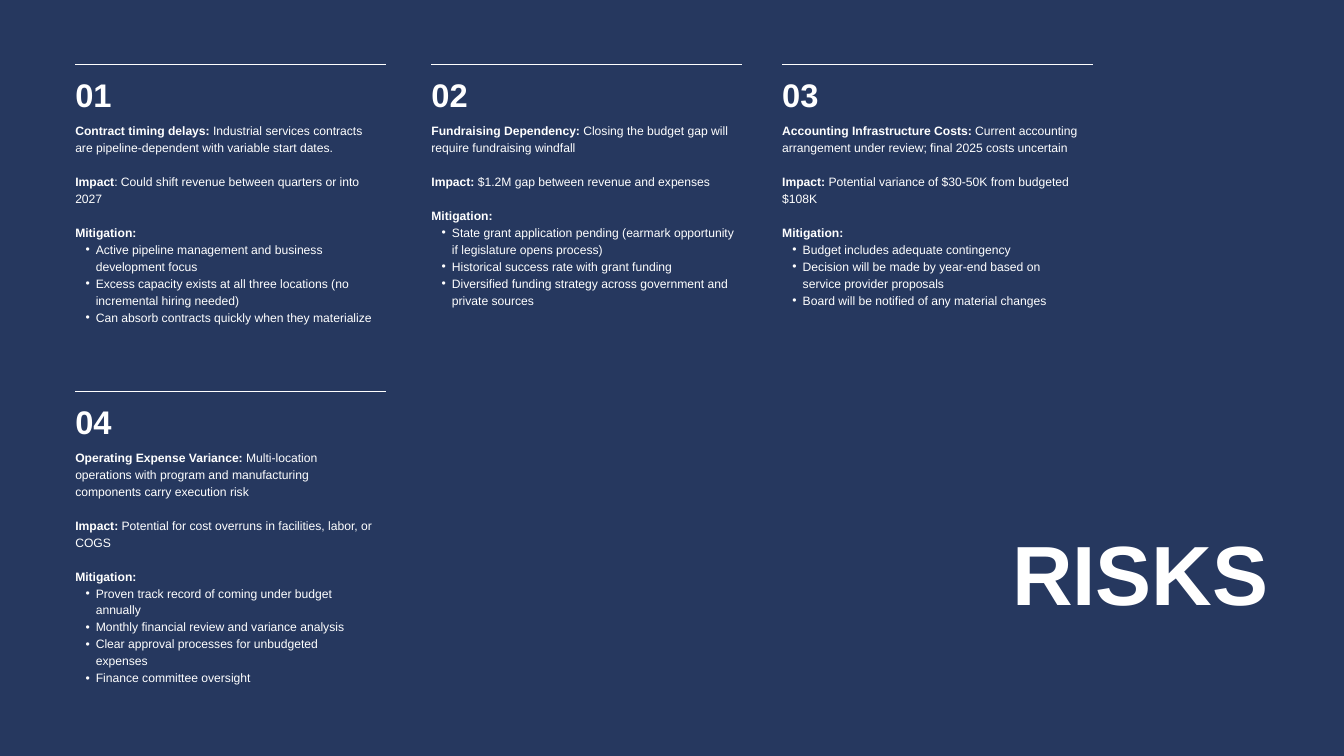
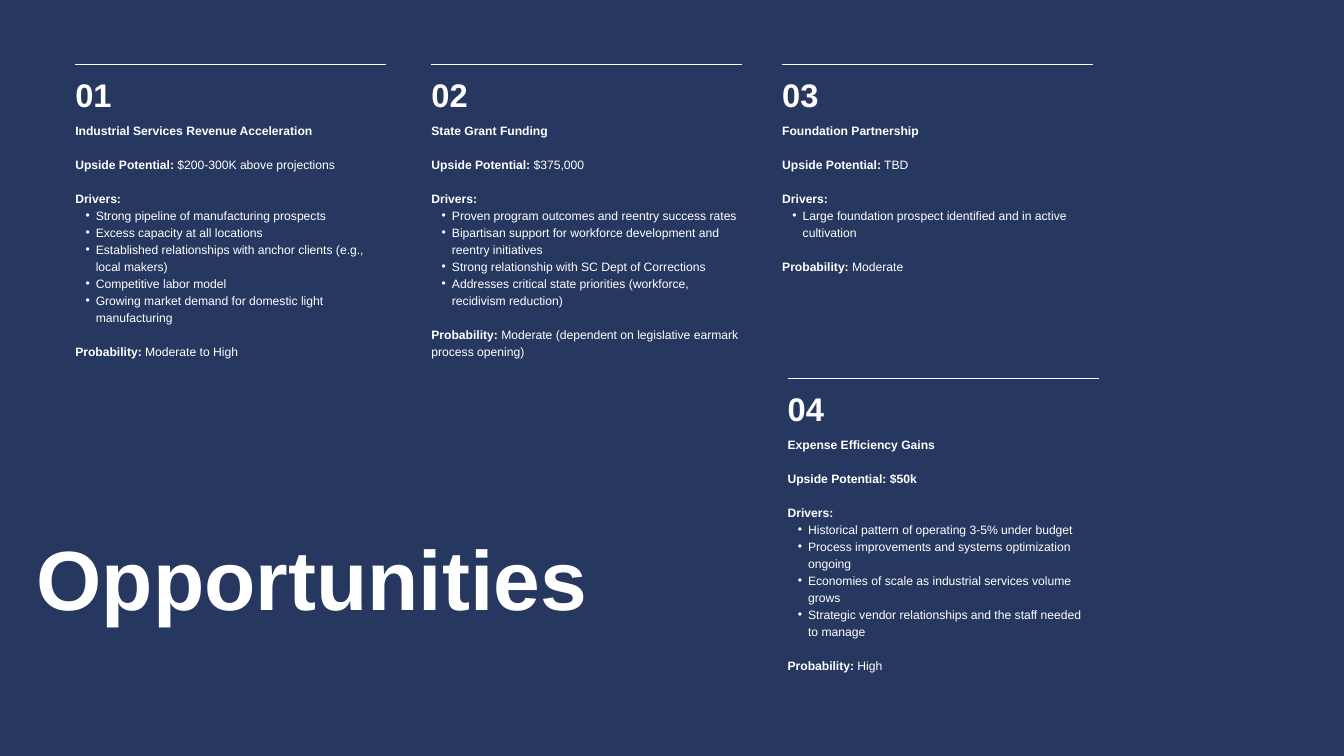
from dataclasses import dataclass

from lxml.etree import SubElement
from pptx import Presentation
from pptx.dml.color import RGBColor
from pptx.enum.shapes import MSO_CONNECTOR
from pptx.enum.text import MSO_AUTO_SIZE, PP_ALIGN
from pptx.oxml.ns import qn
from pptx.util import Pt

NAVY = RGBColor(0x26, 0x38, 0x5F)
WHITE = RGBColor(0xFF, 0xFF, 0xFF)
FONT = "Arial"

COLUMNS = (80.64, 462.24, 838.08)
TOP = 69.12
RULE_WIDTH = 333.2
TEXT_WIDTH = 318.24
NUMBER_OFFSET, NUMBER_HEIGHT = 8, 44
BODY_OFFSET = 60.5
BODY_LEADING = 18.2
TITLE_WIDTH, TITLE_HEIGHT = 818.64, 108.72


@dataclass
class Card:
    left: float
    top: float
    height: float
    entries: list
    body_width: float = TEXT_WIDTH


RISKS = [
    Card(COLUMNS[0], TOP, 260.64, [
        ("Contract timing delays:", " Industrial services contracts are pipeline-dependent with variable start dates."),
        ("Impact", ": Could shift revenue between quarters or into 2027"),
        ("Mitigation:", ""),
        "Active pipeline management and business development focus",
        "Excess capacity exists at all three locations (no incremental hiring needed)",
        "Can absorb contracts quickly when they materialize",
    ]),
    Card(COLUMNS[1], TOP, 275.76, [
        ("Fundraising Dependency:", " Closing the budget gap will require fundraising windfall"),
        ("Impact:", " $1.2M gap between revenue and expenses"),
        ("Mitigation:", ""),
        "State grant application pending (earmark opportunity if legislature opens process)",
        "Historical success rate with grant funding",
        "Diversified funding strategy across government and private sources",
    ], RULE_WIDTH),
    Card(COLUMNS[2], TOP, 216, [
        ("Accounting Infrastructure Costs:", " Current accounting arrangement under review; final 2025 costs uncertain"),
        ("Impact:", " Potential variance of $30-50K from budgeted $108K"),
        ("Mitigation:", ""),
        "Budget includes adequate contingency",
        "Decision will be made by year-end based on service provider proposals",
        "Board will be notified of any material changes",
    ]),
    Card(COLUMNS[0], 419.04, 270, [
        ("Operating Expense Variance:", " Multi-location operations with program and manufacturing components carry execution risk"),
        ("Impact:", " Potential for cost overruns in facilities, labor, or COGS"),
        ("Mitigation:", ""),
        "Proven track record of coming under budget annually",
        "Monthly financial review and variance analysis",
        "Clear approval processes for unbudgeted expenses",
        "Finance committee oversight",
    ]),
]

OPPORTUNITIES = [
    Card(COLUMNS[0], TOP, 296.64, [
        ("Industrial Services Revenue Acceleration", ""),
        ("Upside Potential:", " $200-300K above projections"),
        ("Drivers:", ""),
        "Strong pipeline of manufacturing prospects",
        "Excess capacity at all locations",
        "Established relationships with anchor clients (e.g., local makers)",
        "Competitive labor model",
        "Growing market demand for domestic light manufacturing",
        ("Probability:", " Moderate to High"),
    ]),
    Card(COLUMNS[1], TOP, 310.32, [
        ("State Grant Funding", ""),
        ("Upside Potential:", " $375,000"),
        ("Drivers:", ""),
        "Proven program outcomes and reentry success rates",
        "Bipartisan support for workforce development and reentry initiatives",
        "Strong relationship with SC Dept of Corrections",
        "Addresses critical state priorities (workforce, recidivism reduction)",
        ("Probability:", " Moderate (dependent on legislative earmark process opening)"),
    ], RULE_WIDTH),
    Card(COLUMNS[2], TOP, 180, [
        ("Foundation Partnership", ""),
        ("Upside Potential:", " TBD"),
        ("Drivers:", ""),
        "Large foundation prospect identified and in active cultivation",
        ("Probability:", " Moderate"),
    ]),
    Card(843.84, 405.36, 252, [
        ("Expense Efficiency Gains", ""),
        ("Upside Potential: $50k", ""),
        ("Drivers:", ""),
        "Historical pattern of operating 3-5% under budget",
        "Process improvements and systems optimization ongoing",
        "Economies of scale as industrial services volume grows",
        "Strategic vendor relationships and the staff needed to manage",
        ("Probability:", " High"),
    ]),
]


def add_text_frame(shapes, left, top, width, height):
    tf = shapes.add_textbox(Pt(left), Pt(top), Pt(width), Pt(height)).text_frame
    tf.margin_left = tf.margin_top = tf.margin_right = tf.margin_bottom = 0
    tf.word_wrap = True
    tf.auto_size = MSO_AUTO_SIZE.SHAPE_TO_FIT_TEXT
    return tf


def add_run(p, text, size, bold):
    r = p.add_run()
    r.text = text
    r.font.name = FONT
    r.font.size = Pt(size)
    r.font.bold = bold
    r.font.color.rgb = WHITE


def add_line(shapes, text, box, size, leading, align=PP_ALIGN.LEFT):
    p = add_text_frame(shapes, *box).paragraphs[0]
    p.alignment = align
    p.line_spacing = Pt(leading)
    add_run(p, text, size, True)


def add_rule(shapes, left, top, width):
    rule = shapes.add_connector(MSO_CONNECTOR.STRAIGHT, Pt(left), Pt(top), Pt(left + width), Pt(top))
    rule.line.color.rgb = WHITE
    rule.line.width = Pt(1)
    SubElement(rule._element.spPr, qn("a:effectLst"))


def make_bullet(p):
    p.level = 1
    pPr = p._p.get_or_add_pPr()
    pPr.set("marL", str(Pt(22)))
    pPr.set("indent", str(-Pt(11)))
    SubElement(pPr, qn("a:buFont"), typeface=FONT)
    SubElement(pPr, qn("a:buChar"), char="•")


def add_body(shapes, card):
    tf = add_text_frame(shapes, card.left, card.top + BODY_OFFSET, card.body_width, card.height)
    for i, entry in enumerate(card.entries):
        p = tf.add_paragraph() if i else tf.paragraphs[0]
        p.line_spacing = Pt(BODY_LEADING)
        if isinstance(entry, str):
            make_bullet(p)
            add_run(p, entry, 13, False)
            continue
        if i:
            p.space_before = Pt(BODY_LEADING)
        label, detail = entry
        add_run(p, label, 13, True)
        if detail:
            add_run(p, detail, 13, False)


def add_card(s, number, card):
    shapes = s.shapes.add_group_shape().shapes
    box = (card.left, card.top + NUMBER_OFFSET, TEXT_WIDTH, NUMBER_HEIGHT)
    add_line(shapes, f"{number:02}", box, 35, 45.5)
    add_body(shapes, card)
    add_rule(shapes, card.left, card.top, RULE_WIDTH)


def add_cards_slide(prs, title, title_left, title_top, cards):
    s = prs.slides.add_slide(prs.slide_layouts[6])
    s.background.fill.solid()
    s.background.fill.fore_color.rgb = NAVY
    box = (title_left, title_top, TITLE_WIDTH, TITLE_HEIGHT)
    add_line(s.shapes, title, box, 90, 108, PP_ALIGN.RIGHT)
    for number, card in enumerate(cards, 1):
        add_card(s, number, card)


def main():
    prs = Presentation()
    prs.slide_width, prs.slide_height = Pt(1440), Pt(810)
    add_cards_slide(prs, "RISKS", 540.72, 558.72, RISKS)
    add_cards_slide(prs, "Opportunities", -189.36, 564.48, OPPORTUNITIES)
    prs.save("out.pptx")


if __name__ == "__main__":
    main()
